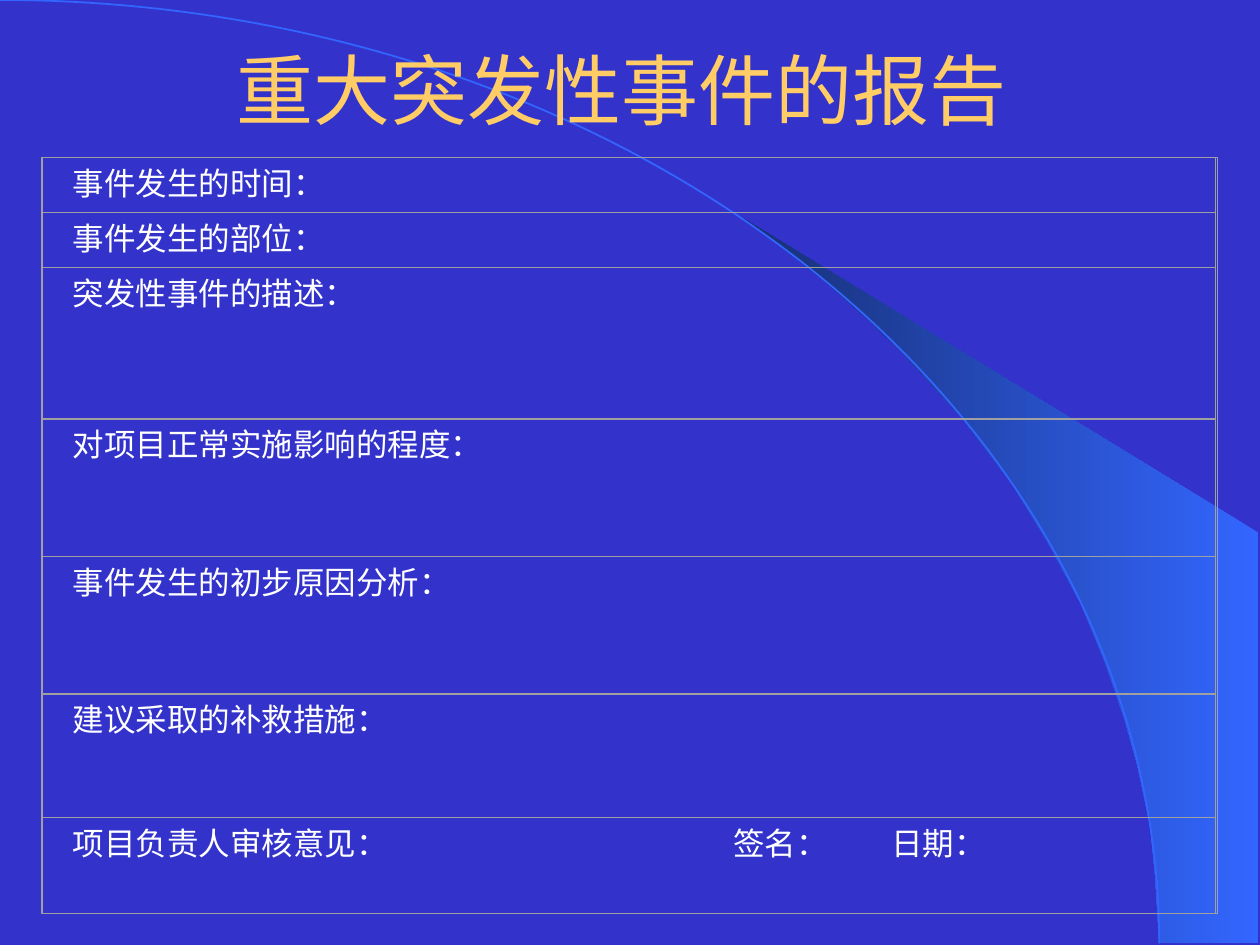
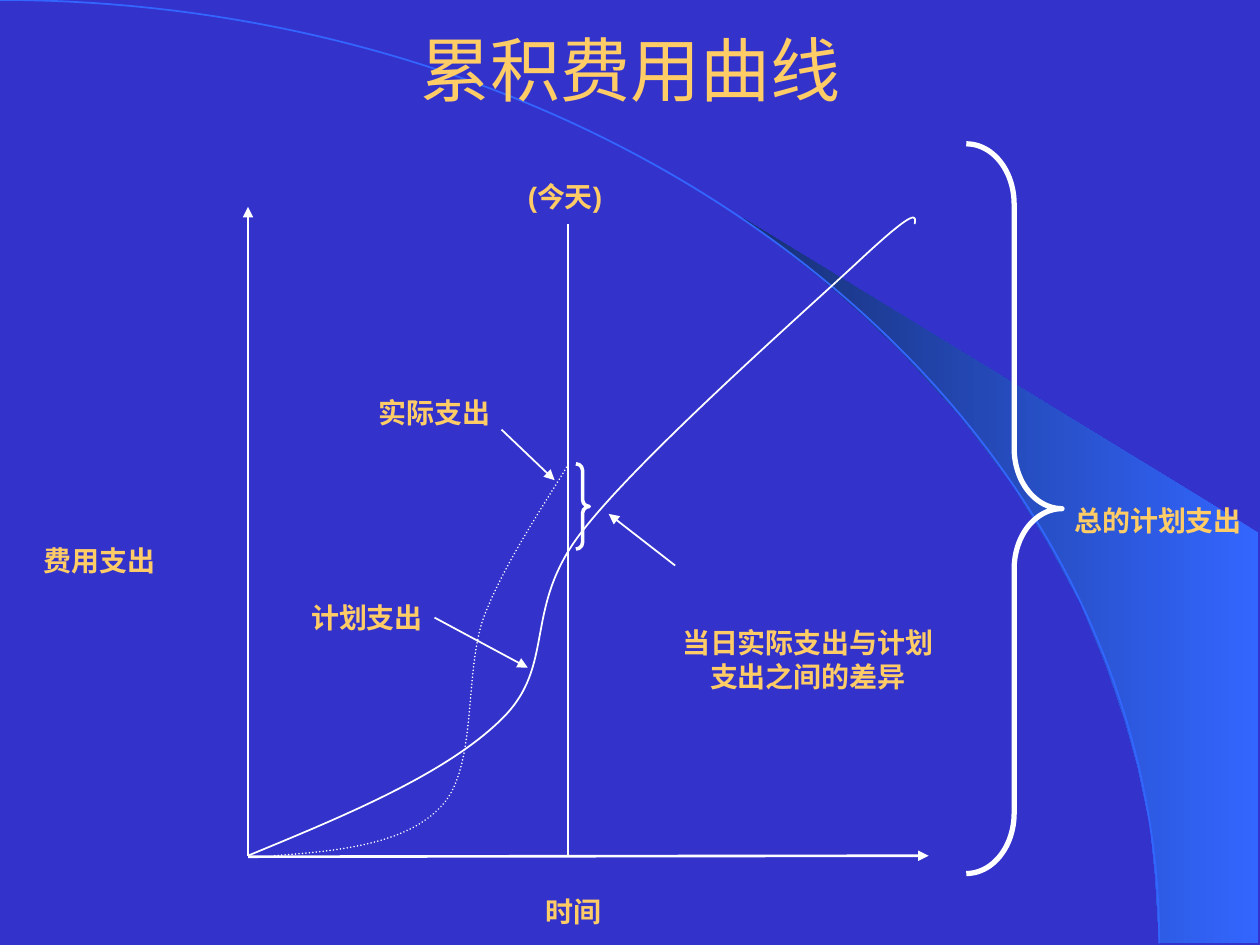
"""Build two slides: an incident report form and a cumulative cost curve."""
from lxml import etree
from pptx import Presentation
from pptx.dml.color import RGBColor
from pptx.enum.dml import MSO_LINE
from pptx.enum.shapes import MSO_CONNECTOR, MSO_SHAPE
from pptx.enum.text import MSO_ANCHOR, PP_ALIGN
from pptx.oxml.ns import qn
from pptx.util import Cm, Pt

LEFT, MID = PP_ALIGN.LEFT, PP_ALIGN.CENTER
TOP, CENTER, BASE = MSO_ANCHOR.TOP, MSO_ANCHOR.MIDDLE, MSO_ANCHOR.BOTTOM
RECT, CURVE, BRACE = MSO_SHAPE.RECTANGLE, MSO_SHAPE.ARC, MSO_SHAPE.RIGHT_BRACE
DOTS = MSO_LINE.ROUND_DOT
COLORS = {"back": "3333CC", "arc": "3366FF", "shade": "172F75",
          "gold": "FFCC66", "white": "FFFFFF", "grid": "A0A0A0"}

ARC = (-23.37, 0, 46.74, 38.04)
WEDGE = [(23.37, 19), (25.37, 19.02), (25.37, 10.74), (14.96, 4.39), (15.85, 5.05),
         (16.59, 5.64), (17.4, 6.35), (18.19, 7.11), (19.35, 8.38), (20.4, 9.75),
         (21.13, 10.95), (21.79, 12.17), (22.3, 13.41), (22.68, 14.53),
         (22.94, 15.47), (23.19, 16.66), (23.29, 17.68)]

FORM = [("事件发生的时间：", 1.11), ("事件发生的部位：", 1.11),
        ("突发性事件的描述：", 3.05), ("对项目正常实施影响的程度：", 2.77),
        ("事件发生的初步原因分析：", 2.77), ("建议采取的补救措施：", 2.49),
        ("项目负责人审核意见：\t签名：\t日期：", 1.93)]
STOPS = [13.31, 16.5]
FRAME = (0.84, 3.18, 23.7, 15.24)

PLAN = [(5, 17.25), (6.99, 16.43), (8.99, 15.6), (10.11, 14.5), (11.23, 13.41),
        (10.52, 12.27), (11.73, 10.72), (12.93, 9.17), (16.26, 6.25),
        (17.37, 5.21), (18.49, 4.17), (18.47, 4.34), (18.44, 4.52)]
ACTUAL = [(5.54, 17.25), (6.88, 17.15), (8.2, 17.02), (8.92, 16.23), (9.63, 15.42),
          (9.35, 13.59), (9.75, 12.45), (10.19, 11.28), (11.18, 9.86), (11.46, 9.35)]
AXES = [((5, 17.25), (5, 4.17)), ((5, 17.27), (18.72, 17.25))]
TODAY = ((11.45, 17.25), (11.45, 4.52))
HINTS = [((13.61, 11.4), (12.27, 10.36)), ((10.11, 8.66), (11.18, 9.68)),
         ((8.76, 12.45), (10.64, 13.46))]
BRACES = [((19.48, 2.9, 1.93, 14.71), 0.63, 3), ((11.61, 9.35, 0.27, 1.72), 0.5, 2)]
LABELS = [(["总的计划支出"], (21.41, 10.26, 3.99, 0.66), LEFT, 0.6),
          (["当日实际支出与计划", "支出之间的差异"], (13.06, 11.63, 6.45, 2.42), MID, 0.5),
          (["费用支出"], (0.44, 10.82, 3.14, 0.94), MID, None),
          (["时间"], (10.74, 17.9, 1.63, 0.94), MID, None),
          (["(今天)"], (9.89, 3.48, 3, 0.94), MID, None),
          (["实际支出"], (7.14, 8.08, 3.23, 0.66), MID, 0.6),
          (["计划支出"], (5.8, 12.22, 3.2, 0.66), MID, 0.6)]


def rgb(name):
    return RGBColor.from_string(COLORS[name])


def cms(vals):
    return [Cm(val) for val in vals]


def write(slide, lines, box, size=16, font="Arial", color="gold", bold=False,
          align=LEFT, anchor=BASE, pitch=None, gap=0, stops=()):
    frame = slide.shapes.add_textbox(*cms(box)).text_frame
    frame.word_wrap = True
    frame.vertical_anchor = anchor
    for num, line in enumerate(lines):
        para = frame.add_paragraph() if num else frame.paragraphs[0]
        para.alignment = align
        if pitch:
            para.line_spacing = pitch
        if num:
            para.space_before = Pt(gap)
        if stops:
            tabs = etree.SubElement(para._p.get_or_add_pPr(), qn("a:tabLst"))
            for stop in stops:
                etree.SubElement(tabs, qn("a:tab"), pos=str(Cm(stop)), algn="l")
        run = para.add_run()
        run.text = line
        run.font.size, run.font.name, run.font.bold = Pt(size), font, bold
        run.font.color.rgb = rgb(color)


def trace(slide, pts, close=False):
    pts = [cms(pt) for pt in pts]
    build = slide.shapes.build_freeform(*pts[0], scale=1.0)
    build.add_line_segments(pts[1:], close=close)
    shape = build.convert_to_shape()
    shape.shadow.inherit = False
    return shape


def bend(slide, nodes):
    shape = trace(slide, nodes)
    legs = list(shape._element.iter(qn("a:lnTo")))
    for k in range(0, len(legs), 3):
        curve = etree.SubElement(legs[k].getparent(), qn("a:cubicBezTo"))
        for leg in legs[k:k + 3]:
            curve.append(leg[0])
            leg.getparent().remove(leg)
    return shape


def stroke(shape, color="white", width=1):
    shape.fill.background()
    shape.line.color.rgb = rgb(color)
    shape.line.width = Pt(width)


def hollow(slide, kind, box, color="white", width=1):
    shape = slide.shapes.add_shape(kind, *cms(box))
    shape.shadow.inherit = False
    stroke(shape, color, width)
    return shape


def rule(slide, ends, width=1, arrow=True):
    line = slide.shapes.add_connector(MSO_CONNECTOR.STRAIGHT, *cms(ends[0] + ends[1]))
    line.line.color.rgb = rgb("white")
    line.line.width = Pt(width)
    if arrow:
        etree.SubElement(line.line._get_or_add_ln(), qn("a:tailEnd"), type="triangle")
    etree.SubElement(line._element.spPr, qn("a:effectLst"))


def start(deck, title, left, top, size, font):
    slide = deck.slides.add_slide(deck.slide_layouts[6])
    wedge = trace(slide, WEDGE, close=True)
    wedge.line.fill.background()
    wedge.fill.gradient()
    wedge.fill.gradient_angle = 180
    for stop, name in zip(wedge.fill.gradient_stops, ("arc", "shade")):
        stop.color.rgb = rgb(name)
    hollow(slide, CURVE, ARC, "arc")
    write(slide, [title], (left, top, 21.59, 3.18), size=size,
          font=font, align=MID, anchor=CENTER)
    return slide


def report(deck):
    slide = start(deck, "重大突发性事件的报告", 1.74, 0.2, 44, "Times New Roman")
    top = FRAME[1]
    for line, high in FORM:
        write(slide, [line], (1.22, top, 22.96, high), size=18, font="Times New Roman",
              color="white", anchor=TOP, stops=STOPS if "\t" in line else ())
        hollow(slide, RECT, (0.86, top, 23.65, high), "grid", 0)
        top += high
    hollow(slide, RECT, FRAME, "grid", 0.75)


def costs(deck):
    slide = start(deck, "累积费用曲线", 1.91, -0.2, 40, "Arial")
    for ends in AXES:
        rule(slide, ends, width=1.5)
    rule(slide, TODAY, arrow=False)
    stroke(bend(slide, PLAN))
    spent = bend(slide, ACTUAL)
    stroke(spent)
    spent.line.dash_style = DOTS
    spent.line._get_or_add_ln().set("cap", "rnd")
    for ends in HINTS:
        rule(slide, ends)
    for box, curl, width in BRACES:
        hollow(slide, BRACE, box, width=width).adjustments[0] = curl
    for lines, box, align, pitch in LABELS:
        write(slide, lines, box, bold=True, align=align, pitch=pitch, gap=10)


def main():
    deck = Presentation()
    deck.slide_width, deck.slide_height = cms((25.4, 19.05))
    back = deck.slide_master.background.fill
    back.solid()
    back.fore_color.rgb = rgb("back")
    report(deck)
    costs(deck)
    deck.save("out.pptx")


if __name__ == "__main__":
    main()
